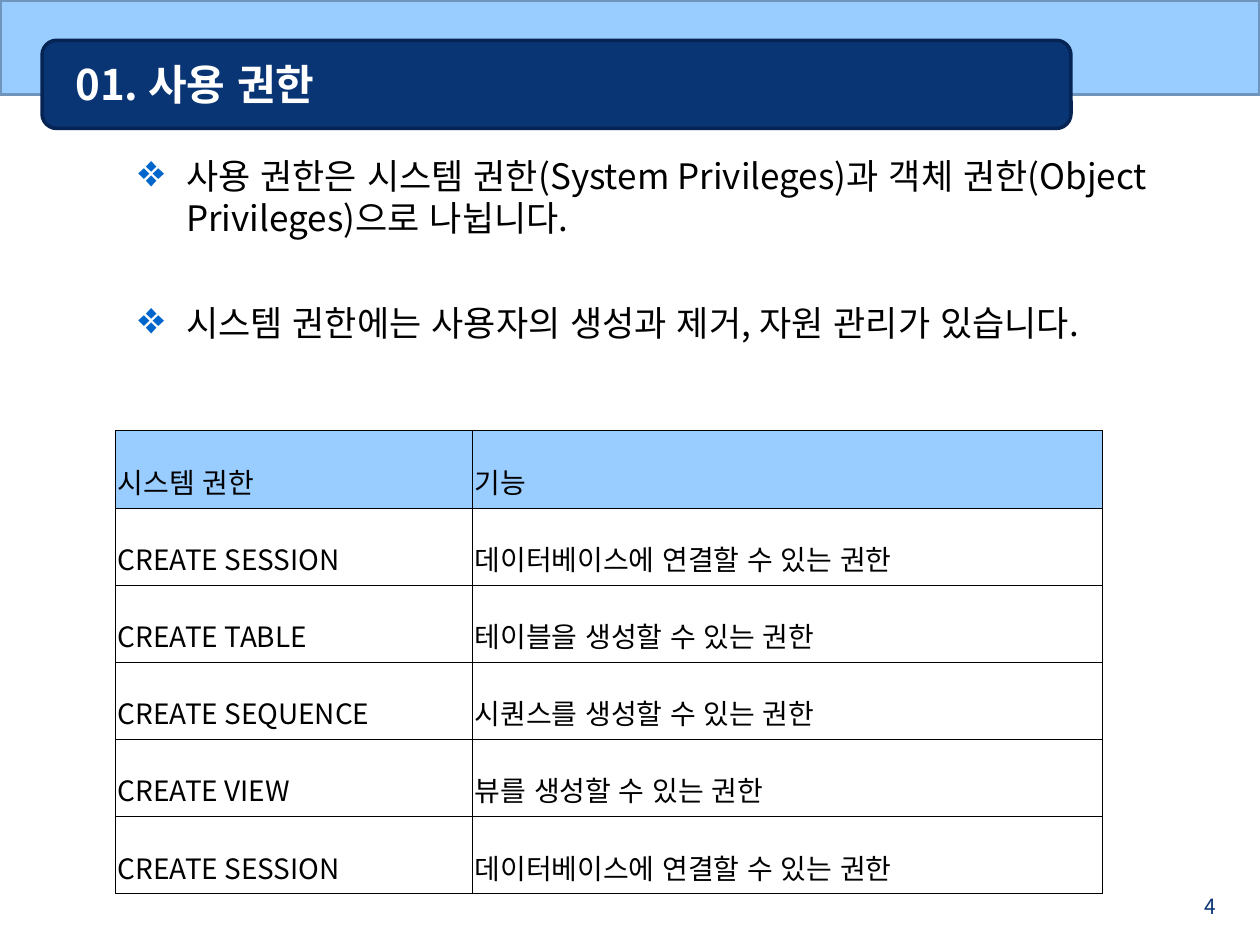
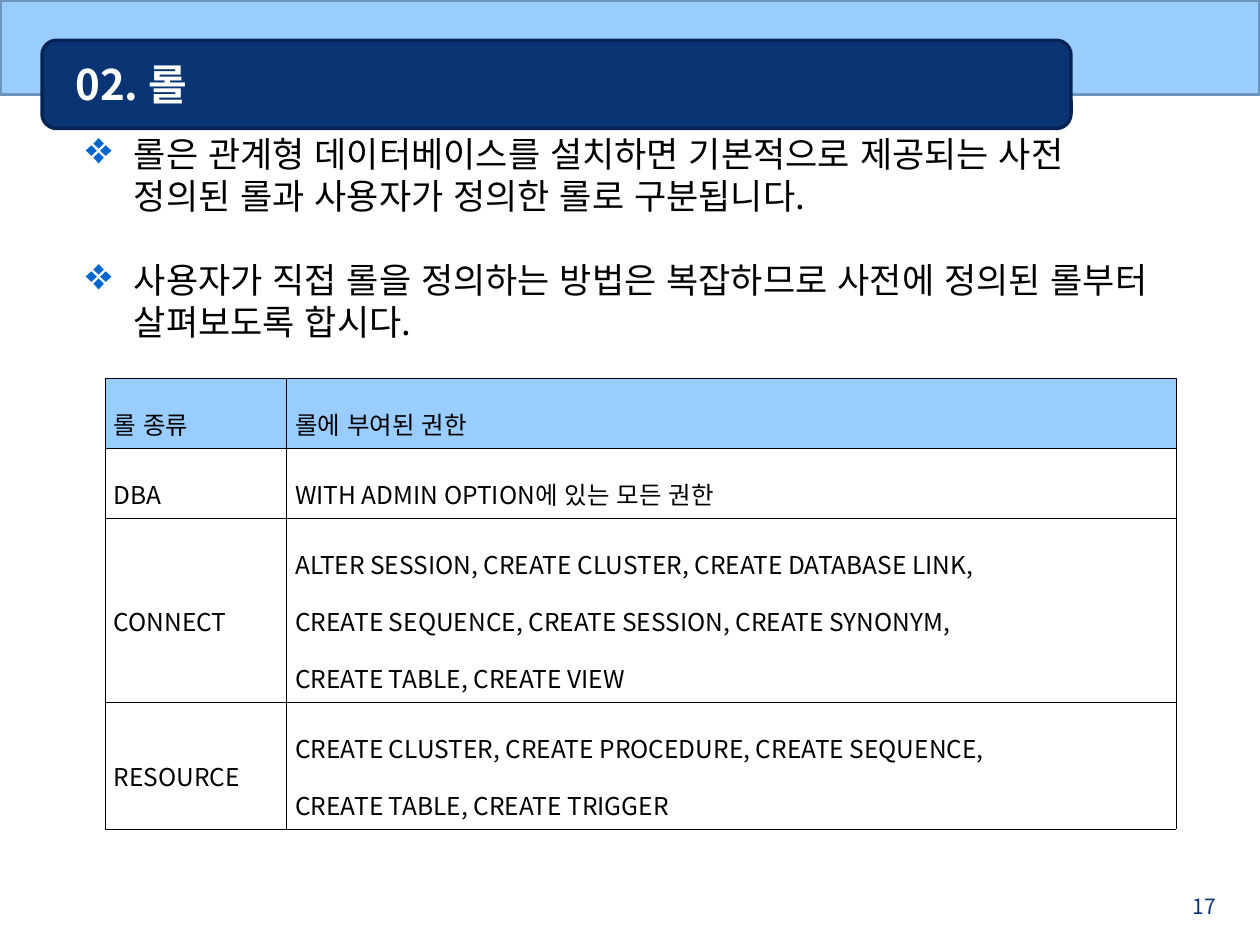
from dataclasses import dataclass

from lxml import etree
from pptx import Presentation, util as u
from pptx.dml.color import RGBColor
from pptx.enum import lang, shapes, text
from pptx.oxml import ns

COLS, ROWS = 120, 90


@dataclass(frozen=True)
class Theme:
    """Colours, font and type sizes shared by the slides."""
    font: str = "Noto Sans CJK KR"
    sky: str = "99CCFF"
    sky_edge: str = "6F95BC"
    navy: str = "093575"
    navy_edge: str = "052454"
    bullet: str = "0066CC"
    ink: str = "000000"
    paper: str = "FFFFFF"
    title: int = 24
    body: int = 20
    body_line: int = 24
    bullet_percent: int = 130
    number: int = 12
    edge: int = 2
    cell_edge: float = 0.11
    cell_spacing: float = 1.6


T = Theme()


def grid(*cells):
    """Turn grid cells into lengths, twelve cells to the inch."""
    return [u.Inches(c / 12) for c in cells]


def add_run(p, words, size, color, bold=False):
    """Add one styled run to a paragraph."""
    r = p.add_run()
    r.text = words
    r.font.name, r.font.size, r.font.bold = T.font, u.Pt(size), bold
    r.font.color.rgb = RGBColor.from_string(color)
    r.font.language_id = lang.MSO_LANGUAGE_ID.KOREAN
    ea = etree.SubElement(r._r.get_or_add_rPr(), ns.qn("a:ea"))
    ea.set("typeface", T.font)


def paragraphs(tf, lines):
    """Yield one paragraph of the frame for each line."""
    for i, line in enumerate(lines):
        yield (tf.add_paragraph() if i else tf.paragraphs[0]), line


def add_panel(s, kind, box, fill, edge):
    """Draw a filled shape with an outline."""
    sp = s.shapes.add_shape(kind, *grid(*box))
    sp.shadow.inherit = False
    sp.fill.solid()
    sp.fill.fore_color.rgb = RGBColor.from_string(fill)
    sp.line.color.rgb = RGBColor.from_string(edge)
    sp.line.width = u.Pt(T.edge)


def add_frame(s, box):
    """Add a wrapping text box and return its text frame."""
    tf = s.shapes.add_textbox(*grid(*box)).text_frame
    tf.word_wrap = True
    return tf


def add_header(s, box, title):
    """Draw the band across the top with the title plate over it."""
    x, y, w, h = box
    add_panel(s, shapes.MSO_SHAPE.RECTANGLE, box, T.sky, T.sky_edge)
    add_panel(s, shapes.MSO_SHAPE.ROUNDED_RECTANGLE,
              (x + 4, y + 3.84, w - 22, 8.4), T.navy, T.navy_edge)
    tf = add_frame(s, (x + 6, y + 4.2, w - 25, 7.44))
    tf.vertical_anchor = text.MSO_ANCHOR.MIDDLE
    add_run(tf.paragraphs[0], title, T.title, T.paper, True)


def add_number(s, box, number):
    """Write the slide number at the lower right."""
    p = add_frame(s, box).paragraphs[0]
    p.alignment = text.PP_ALIGN.RIGHT
    add_run(p, str(number), T.number, T.navy)


def add_bullets(s, box, points, gap):
    """List the points with diamond bullets, the gap in points between them."""
    for p, point in paragraphs(add_frame(s, box), points):
        p.line_spacing = u.Pt(T.body_line)
        if point != points[0]:
            p.space_before = u.Pt(gap)
        pPr = p._p.get_or_add_pPr()
        indent = u.Inches(0.38)
        pPr.set("marL", str(indent))
        pPr.set("indent", str(-indent))
        color = etree.SubElement(pPr, ns.qn("a:buClr"))
        etree.SubElement(color, ns.qn("a:srgbClr")).set("val", T.bullet)
        size = etree.SubElement(pPr, ns.qn("a:buSzPct"))
        size.set("val", str(T.bullet_percent * 1000))
        etree.SubElement(pPr, ns.qn("a:buChar")).set("char", "❖")
        add_run(p, point, T.body, T.ink)


def add_borders(cell):
    """Rule all four sides of a cell."""
    tcPr = cell._tc.get_or_add_tcPr()
    for i, side in enumerate(("lnL", "lnR", "lnT", "lnB")):
        ln = etree.Element(ns.qn(f"a:{side}"), w=str(u.Pt(T.cell_edge)))
        fill = etree.SubElement(ln, ns.qn("a:solidFill"))
        etree.SubElement(fill, ns.qn("a:srgbClr")).set("val", T.ink)
        tcPr.insert(i, ln)


def add_privileges(s, at, widths, heights, rows, size, inset):
    """Build a privilege table with a tinted header row."""
    box = (*at, sum(widths), sum(heights))
    table = s.shapes.add_table(len(rows), len(widths), *grid(*box)).table
    table.horz_banding = False
    for col, w in zip(table.columns, grid(*widths)):
        col.width = w
    for row, h in zip(table.rows, grid(*heights)):
        row.height = h
    for i, row in enumerate(rows):
        for j, words in enumerate(row):
            cell = table.cell(i, j)
            cell.vertical_anchor = text.MSO_ANCHOR.MIDDLE
            cell.margin_left = cell.margin_right = u.Inches(inset)
            cell.margin_top = cell.margin_bottom = u.Inches(0.05)
            if i:
                cell.fill.background()
            else:
                cell.fill.solid()
                cell.fill.fore_color.rgb = RGBColor.from_string(T.sky)
            add_borders(cell)
            for p, line in paragraphs(cell.text_frame, words.split("\n")):
                p.alignment = text.PP_ALIGN.JUSTIFY
                p.line_spacing = T.cell_spacing
                add_run(p, line, size, T.ink)


def add_slide(prs, title, number):
    """Add a blank slide with its header and number."""
    s = prs.slides.add_slide(prs.slide_layouts[6])
    add_header(s, (0, 0, COLS, 9), title)
    add_number(s, (COLS - 9, ROWS - 5.52, 6, 2.52), number)
    return s


def add_system_slide(prs):
    """Build the slide on system privileges."""
    s = add_slide(prs, "01. 사용 권한", 4)
    add_bullets(s, (12, 14.16, 108, 73.68), [
        "사용 권한은 시스템 권한(System Privileges)과 객체 권한(Object Privileges)으로 나뉩니다.",
        "시스템 권한에는 사용자의 생성과 제거, 자원 관리가 있습니다.",
    ], gap=36)
    rows = [
        ("시스템 권한", "기능"),
        ("CREATE SESSION", "데이터베이스에 연결할 수 있는 권한"),
        ("CREATE TABLE", "테이블을 생성할 수 있는 권한"),
        ("CREATE SEQUENCE", "시퀀스를 생성할 수 있는 권한"),
        ("CREATE VIEW", "뷰를 생성할 수 있는 권한"),
        ("CREATE SESSION", "데이터베이스에 연결할 수 있는 권한"),
    ]
    add_privileges(s, (11, 41), (34, 60), [7.35] * len(rows), rows,
                   size=16, inset=0.02)


def add_role_slide(prs):
    """Build the slide on roles."""
    s = add_slide(prs, "02. 롤", 17)
    add_bullets(s, (7, 12, 105, 73), [
        "롤은 관계형 데이터베이스를 설치하면 기본적으로 제공되는 사전 정의된 롤과 사용자가 정의한 롤로 구분됩니다.",
        "사용자가 직접 롤을 정의하는 방법은 복잡하므로 사전에 정의된 롤부터 살펴보도록 합시다.",
    ], gap=24)
    rows = [
        ("롤 종류", "롤에 부여된 권한"),
        ("DBA", "WITH ADMIN OPTION에 있는 모든 권한"),
        ("CONNECT", "ALTER SESSION, CREATE CLUSTER, CREATE DATABASE LINK,\n"
                    "CREATE SEQUENCE, CREATE SESSION, CREATE SYNONYM,\n"
                    "CREATE TABLE, CREATE VIEW"),
        ("RESOURCE", "CREATE CLUSTER, CREATE PROCEDURE, CREATE SEQUENCE,\n"
                     "CREATE TABLE, CREATE TRIGGER"),
    ]
    add_privileges(s, (10, 36), (17.28, 84.72), (6.67, 6.67, 17.5, 12.1),
                   rows, size=14, inset=0.07)


def main():
    """Build and save the presentation."""
    prs = Presentation()
    prs.slide_width, prs.slide_height = grid(COLS, ROWS)
    add_system_slide(prs)
    add_role_slide(prs)
    prs.save("out.pptx")


if __name__ == "__main__":
    main()
